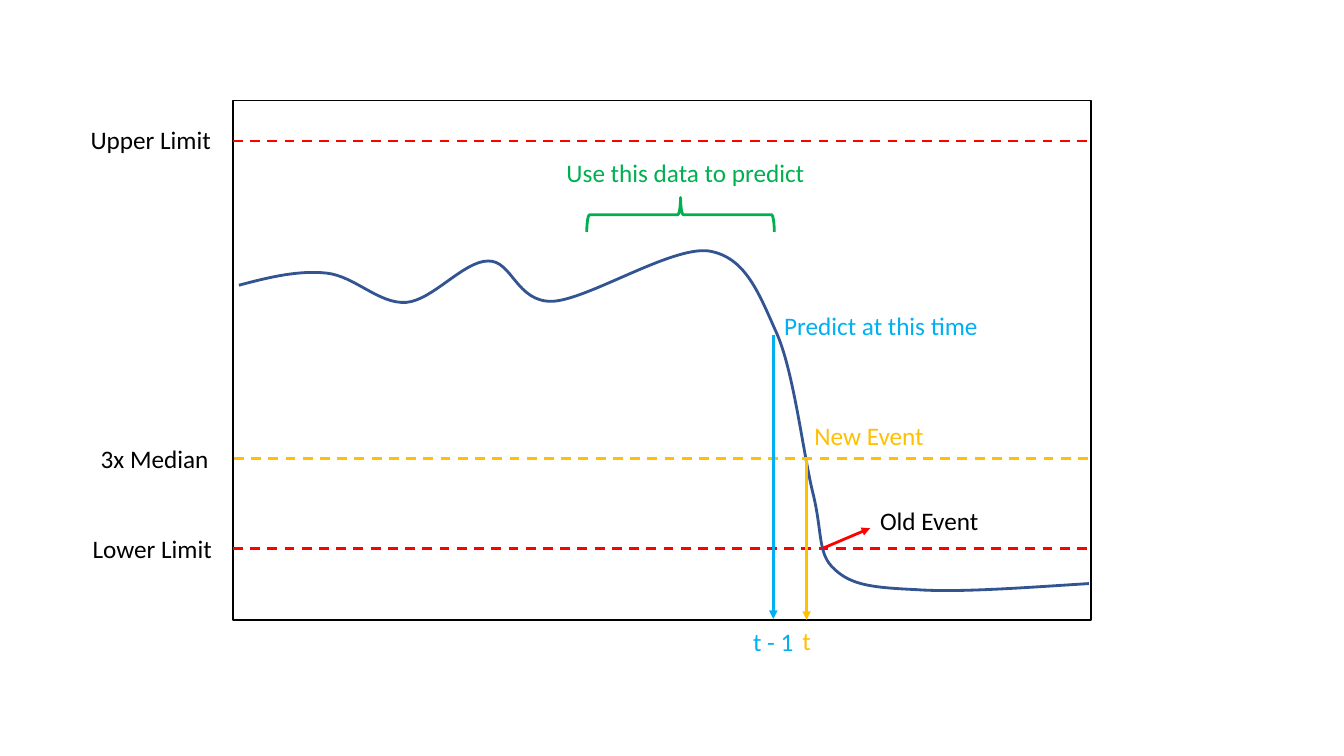
from typing import NamedTuple

from lxml.etree import SubElement
from pptx import Presentation
from pptx.dml.color import RGBColor
from pptx.enum.dml import MSO_LINE as Dash
from pptx.enum.shapes import MSO_CONNECTOR as Link, MSO_SHAPE as Kind
from pptx.enum.text import MSO_AUTO_SIZE as Fit
from pptx.oxml.ns import qn
from pptx.util import Inches, Pt

BLACK, RED, GOLD = "000000", "FF0000", "FFC000"
BLUE, GREEN, NAVY = "00B0F0", "00B050", "325491"
LEFT, TOP, WIDTH, HEIGHT = 2.31, 1, 8.51, 5.15
RIGHT, BASE = 10.81, TOP + HEIGHT
UPPER, MEDIAN, LOWER = 1.4, 4.55, 5.44

Point = tuple[float, float]


class Label(NamedTuple):
    text: str
    left: float
    top: float
    width: float
    color: str = BLACK


class Rule(NamedTuple):
    start: Point
    end: Point
    color: str
    arrow: bool = False


CURVE = [
    (2.37, 2.83), (2.67, 2.75), (2.96, 2.68), (3.24, 2.71),
    (3.52, 2.74), (3.76, 3.02), (4.03, 3), (4.29, 2.98),
    (4.6, 2.59), (4.84, 2.59), (5.08, 2.58), (5.12, 3),
    (5.48, 2.99), (5.84, 2.97), (6.66, 2.44), (7.03, 2.49),
    (7.4, 2.55), (7.53, 2.92), (7.71, 3.32), (7.88, 3.72),
    (7.97, 4.53), (8.07, 4.92), (8.16, 5.31), (8.11, 5.5),
    (8.28, 5.65), (8.45, 5.81), (8.67, 5.83), (9.09, 5.85),
    (9.51, 5.88), (10.16, 5.83), (10.8, 5.79),
]

LIMITS = [
    Rule((LEFT, y), (RIGHT, y), RED) for y in (LOWER, UPPER)
]

EVENTS = [
    Rule((8.16, LOWER), (8.63, 5.24), RED, True),
    Rule((8, MEDIAN), (8, BASE), GOLD, True),
    Rule((2.32, MEDIAN), (10.82, MEDIAN), GOLD),
    Rule((7.67, 3.32), (7.67, 6.14), BLUE, True),
]

LABELS = [
    Label("Upper Limit", 0.8, 1.18, 1.43),
    Label("Lower Limit", 0.82, 5.24, 1.4),
    Label("Old Event", 8.63, 4.96, 1.19),
    Label("3x Median", 0.9, 4.35, 1.28),
    Label("New Event", 7.98, 4.12, 1.3, GOLD),
    Label("t", 7.86, 6.15, 0.29, GOLD),
    Label("Predict at this time", 7.68, 3.03, 2.14, BLUE),
    Label("t - 1", 7.37, 6.16, 0.61, BLUE),
    Label("Use this data to predict", 5.52, 1.51, 2.59, GREEN),
]


def paint(line, color: str, width: float) -> None:
    line.color.rgb = RGBColor.from_string(color)
    line.width = Pt(width)


def outline(shape, color: str, width: float) -> None:
    shape.shadow.inherit = False
    shape.fill.background()
    paint(shape.line, color, width)


def draw_rule(shapes, rule: Rule) -> None:
    ends = [Inches(n) for n in (*rule.start, *rule.end)]
    link = shapes.add_connector(Link.STRAIGHT, *ends)
    paint(link.line, rule.color, 2 if rule.arrow else 1.75)
    if rule.arrow:
        SubElement(link.line._ln, qn("a:tailEnd"), type="triangle")
    else:
        link.line.dash_style = Dash.DASH
    SubElement(link._element.spPr, qn("a:effectLst"))


def draw_label(shapes, label: Label) -> None:
    area = (label.left, label.top, label.width, 0.4)
    frame = shapes.add_textbox(*map(Inches, area)).text_frame
    frame.text = label.text
    frame.word_wrap = False
    frame.auto_size = Fit.SHAPE_TO_FIT_TEXT
    font = frame.paragraphs[0].runs[0].font
    font.name, font.size = "Calibri", Pt(18)
    font.color.rgb = RGBColor.from_string(label.color)


def draw_curve(shapes, knots: list[Point]) -> None:
    spots = [(Inches(x), Inches(y)) for x, y in knots]
    pen = shapes.build_freeform(*spots[0])
    pen.add_line_segments(spots[3::3], close=False)
    curve = pen.convert_to_shape()
    bends = list(curve._element.iter(qn("a:lnTo")))
    for i, bend in enumerate(bends):
        bend.tag = qn("a:cubicBezTo")
        bend.remove(bend[0])
        for x, y in spots[3 * i + 1:3 * i + 4]:
            spot = {"x": str(x - curve.left), "y": str(y - curve.top)}
            SubElement(bend, qn("a:pt"), spot)
    outline(curve, NAVY, 2)


def draw_shape(shapes, kind: Kind, area: tuple, color: str, width: float):
    shape = shapes.add_shape(kind, *map(Inches, area))
    outline(shape, color, width)
    return shape


deck = Presentation()
deck.slide_width, deck.slide_height = Inches(13.33), Inches(7.5)
shapes = deck.slides.add_slide(deck.slide_layouts[6]).shapes

draw_shape(shapes, Kind.RECTANGLE, (LEFT, TOP, WIDTH, HEIGHT), BLACK, 1)
for rule in LIMITS:
    draw_rule(shapes, rule)
draw_curve(shapes, CURVE)
for rule in EVENTS:
    draw_rule(shapes, rule)
brace = draw_shape(shapes, Kind.RIGHT_BRACE, (6.58, 1.2, 0.34, 1.86), GREEN, 2)
brace.rotation = 270
for label in LABELS:
    draw_label(shapes, label)

deck.save("out.pptx")
